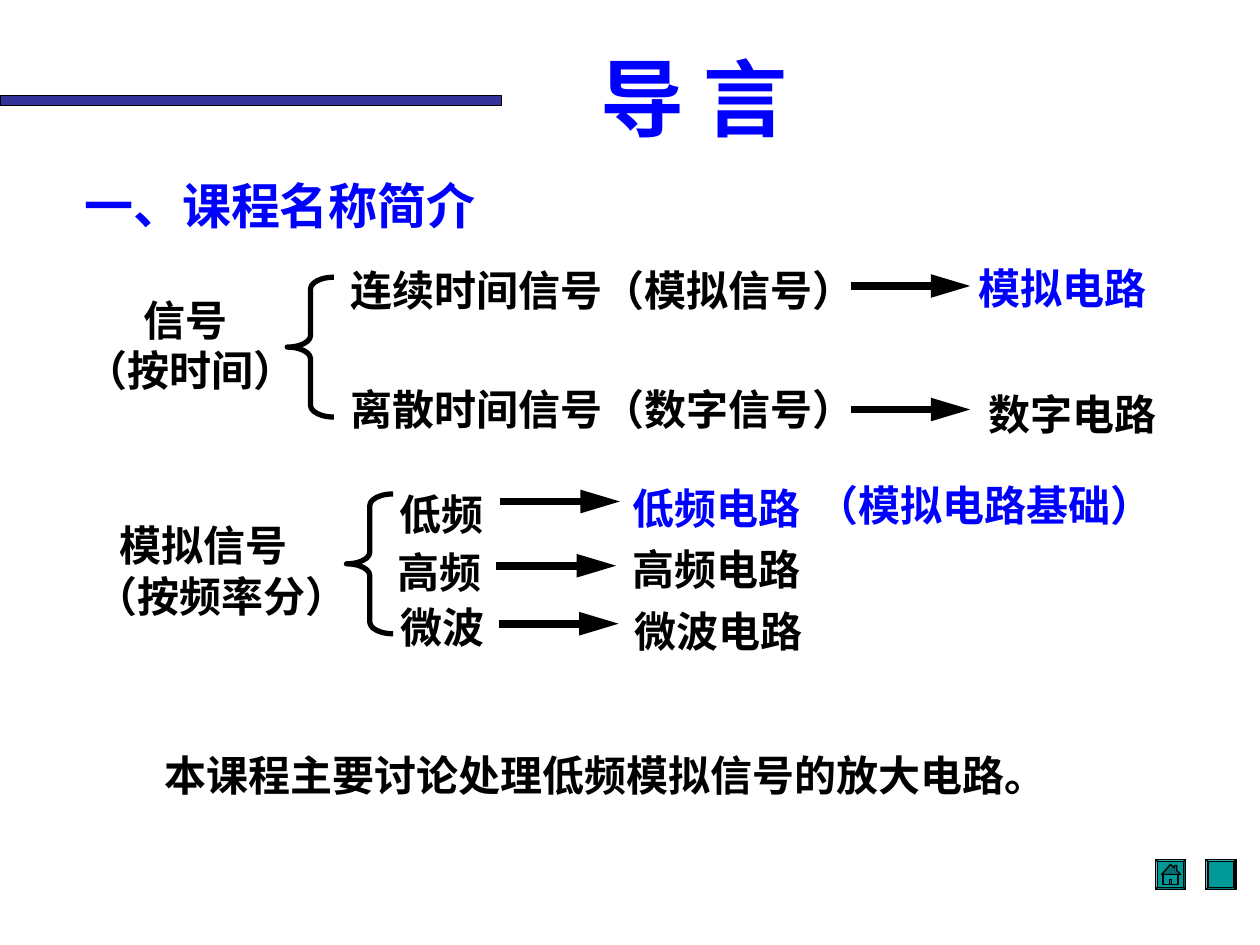
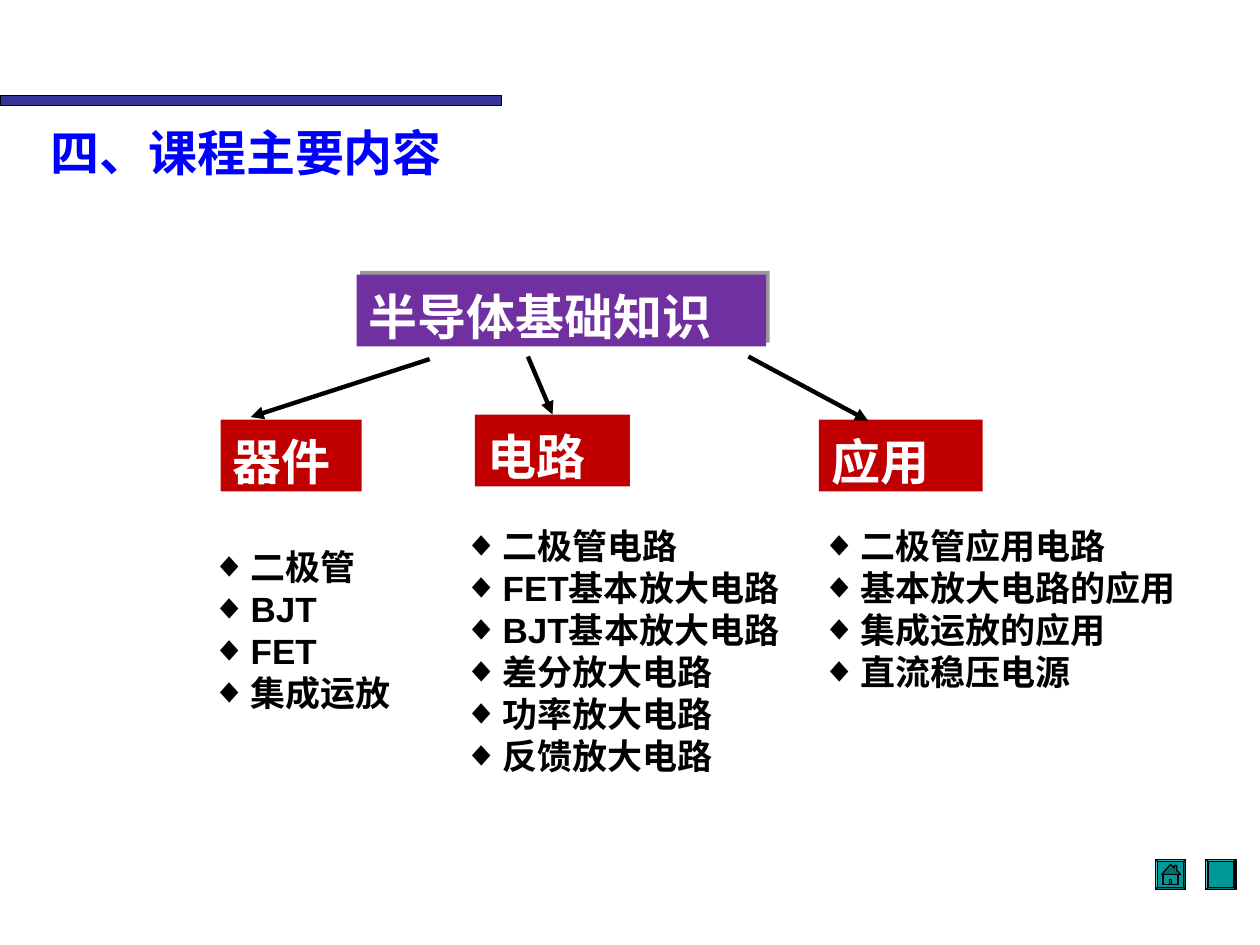
from lxml import etree
from pptx import Presentation
from pptx.dml.color import RGBColor
from pptx.enum.shapes import MSO_CONNECTOR, MSO_SHAPE
from pptx.enum.text import MSO_ANCHOR, MSO_AUTO_SIZE, PP_ALIGN
from pptx.oxml.ns import qn
from pptx.util import Inches, Pt

COLUMNS, ROWS = 100, 75
CELL = Inches(0.1)
BLACK = RGBColor(0x00, 0x00, 0x00)
WHITE = RGBColor(0xFF, 0xFF, 0xFF)
BLUE = RGBColor(0x00, 0x00, 0xFF)
NAVY = RGBColor(0x33, 0x33, 0x99)
TEAL = RGBColor(0x00, 0x99, 0x99)
DARK_TEAL = RGBColor(0x00, 0x70, 0x70)
PURPLE = RGBColor(0x70, 0x30, 0xA0)
RED = RGBColor(0xC0, 0x00, 0x00)
LATIN, SERIF, CHINESE = "Arial", "Times New Roman", "Noto Sans CJK SC"
LINE_HEIGHT = 1.2
TOP_SHIFT = 0.11  # share of the text size that fixed line spacing takes off the top
HANGING = 3.1


def grid(cells):
    return round(cells * CELL)


def place(shape, left, top, width, height):
    shape.left, shape.top = grid(left), grid(top)
    shape.width, shape.height = grid(width), grid(height)


def child(parent, tag, **attributes):
    return etree.SubElement(parent, qn(tag), attributes)


def write(shape, text, size=24, color=BLACK, font=LATIN, align=PP_ALIGN.LEFT,
          anchor=MSO_ANCHOR.TOP, indents=(), bullet=None):
    """Fill a shape with one paragraph for each line of text."""
    frame = shape.text_frame
    frame.word_wrap = True
    frame.auto_size = MSO_AUTO_SIZE.NONE
    frame.vertical_anchor = anchor
    frame.margin_left = frame.margin_right = Inches(0.1)
    frame.margin_top = Inches(0.05) + Pt(size * TOP_SHIFT)
    frame.margin_bottom = Inches(0.05)
    for number, line in enumerate(text.split("\n")):
        paragraph = frame.paragraphs[0] if number == 0 else frame.add_paragraph()
        paragraph.alignment = align
        paragraph.line_spacing = Pt(size * LINE_HEIGHT)
        paragraph.space_before = paragraph.space_after = Pt(0)
        properties = paragraph._p.get_or_add_pPr()
        margin = HANGING if bullet else dict(enumerate(indents)).get(number, 0)
        properties.set("marL", str(grid(margin)))
        properties.set("indent", str(grid(-HANGING if bullet else 0)))
        if bullet:
            child(properties, "a:buFont", typeface=LATIN)
            child(properties, "a:buChar", char=bullet)
        else:
            child(properties, "a:buNone")
        run = paragraph.add_run()
        run.text = line
        run.font.size, run.font.bold, run.font.name = Pt(size), True, font
        run.font.color.rgb = color
        child(run._r.get_or_add_rPr(), "a:ea", typeface=CHINESE)


def add_label(slide, text, left, top, width, height=5, **style):
    label = slide.shapes.add_textbox(0, 0, 0, 0)
    place(label, left, top, width, height)
    write(label, text, **style)


def set_title(slide, text, box, **style):
    place(slide.shapes.title, *box)
    write(slide.shapes.title, text, color=BLUE, **style)


def paint(shape, fill=None, line=None, width=0.75):
    shape.shadow.inherit = False
    if fill is None:
        shape.fill.background()
    else:
        shape.fill.solid()
        shape.fill.fore_color.rgb = fill
    if line is None:
        shape.line.fill.background()
    else:
        shape.line.color.rgb = line
        shape.line.width = Pt(width)


def add_preset(slide, preset, box, **style):
    shape = slide.shapes.add_shape(preset, *map(grid, box))
    paint(shape, **style)
    return shape


def add_arrow(slide, start, end, width, head_length="med"):
    arrow = slide.shapes.add_connector(
        MSO_CONNECTOR.STRAIGHT, *map(grid, (*start, *end)))
    arrow.line.color.rgb = BLACK
    arrow.line.width = Pt(width)
    child(arrow.line._get_or_add_ln(), "a:tailEnd",
          type="triangle", w="med", len=head_length)
    child(arrow._element.spPr, "a:effectLst")
    return arrow


def add_brace(slide, left, top):
    brace = add_preset(slide, MSO_SHAPE.LEFT_BRACE, (left, top, 3.7, 11.1),
                       line=BLACK, width=3)
    brace.adjustments[0] = 0.25


def add_outline(slide, points, fill):
    (first, *rest) = [(grid(x), grid(y)) for x, y in points]
    builder = slide.shapes.build_freeform(*first)
    builder.add_line_segments(rest, close=True)
    paint(builder.convert_to_shape(), fill=fill, line=BLACK)


def add_frame(slide):
    """Draw the band at the top and the two buttons at the bottom."""
    add_preset(slide, MSO_SHAPE.RECTANGLE, (0, 7.6, 39.8, 0.8), fill=NAVY, line=BLACK)
    for left in (91.7, 95.7):
        button = add_preset(slide, MSO_SHAPE.BEVEL, (left, 68.2, 2.4, 2.4),
                            fill=TEAL, line=BLACK)
        button.adjustments[0] = 0.07
    roof = [(92.9, 68.6), (93.2, 68.9), (93.2, 68.7), (93.4, 68.7),
            (93.4, 69.1), (93.7, 69.4), (92.2, 69.4)]
    walls = [(92.3, 69.4), (93.5, 69.4), (93.5, 70.2), (92.3, 70.2)]
    door = [(92.8, 69.8), (93, 69.8), (93, 70.2), (92.8, 70.2)]
    for outline, fill in ((roof, DARK_TEAL), (walls, TEAL), (door, DARK_TEAL)):
        add_outline(slide, outline, fill)


def add_box(slide, text, box, fill):
    shape = add_preset(slide, MSO_SHAPE.RECTANGLE, box, fill=fill)
    write(shape, text, size=28, color=WHITE)
    return shape


def add_hard_shadow(shape):
    effects = shape._element.spPr.find(qn("a:effectLst"))
    shadow = child(effects, "a:outerShdw", blurRad="0", dist=str(Pt(3)),
                   dir=str(315 * 60000), algn="bl", rotWithShape="0")
    color = child(shadow, "a:srgbClr", val=str(BLACK))
    child(color, "a:alpha", val="40000")


def build_introduction(deck):
    slide = deck.slides.add_slide(deck.slide_layouts[5])
    add_frame(slide)
    set_title(slide, "导 言", (31.7, 4.2, 46.8, 6.2), size=48, font=CHINESE,
              align=PP_ALIGN.CENTER, anchor=MSO_ANCHOR.MIDDLE)
    add_label(slide, "一、课程名称简介", 5.7, 13, 40.1, 5.7,
              size=28, color=BLUE, font=SERIF)

    add_label(slide, "信号\n（按时间）", 5.8, 22.5, 20.2, 9, indents=(4.6,))
    add_brace(slide, 22.8, 22)
    by_time = [
        ("连续时间信号（模拟信号）", 20.1, 22.7, "模拟电路", 76.7, 20, BLUE),
        ("离散时间信号（数字信号）", 29.6, 32.5, "数字电路", 77.5, 30, BLACK),
    ]
    for signal, top, arrow_top, circuit, left, circuit_top, color in by_time:
        add_label(slide, signal, 26.8, top, 42.5)
        add_arrow(slide, (67.5, arrow_top), (77, arrow_top), 4.5, "lg")
        add_label(slide, circuit, left, circuit_top, 16.7, color=color)

    add_label(slide, "模拟信号\n（按频率分）", 6.6, 40.4, 24.8, 9, indents=(1.9,))
    add_brace(slide, 27.5, 39.2)
    by_frequency = [
        ("低频", 30.7, 37.9, 39.7, 39.8, 49.2, BLUE),
        ("高频", 30.6, 42.5, 39.4, 44.9, 49.2, BLACK),
        ("微波", 30.8, 46.9, 39.6, 49.5, 49.4, BLACK),
    ]
    for row, (band, left, top, tail, arrow_top, circuit_left, color) in enumerate(by_frequency):
        add_label(slide, band, left, top, 11)
        add_arrow(slide, (tail, arrow_top), (tail + 9.5, arrow_top), 4.5, "lg")
        add_label(slide, band + "电路", circuit_left, 37.4 + 4.9 * row, 17, color=color)
    add_label(slide, "（模拟电路基础）", 63.8, 37.2, 33.3, color=BLUE)

    add_label(slide, "本课程主要讨论处理低频模拟信号的放大电路。", 12.1, 58.6, 78.9)


def build_contents(deck):
    slide = deck.slides.add_slide(deck.slide_layouts[4])
    add_frame(slide)
    set_title(slide, "四、课程主要内容", (3, 8.8, 44.5, 5.7), size=28, font=SERIF)
    add_hard_shadow(add_box(slide, "半导体基础知识", (28.3, 21.8, 32.5, 5.7), PURPLE))

    branches = [
        ("器件", (17.5, 33.3, 11.2, 5.7), (34.1, 28.5), (19.9, 33.1),
         (15.8, 42.5, 19, 14.4), "二极管\nBJT\nFET\n集成运放"),
        ("电路", (37.7, 32.9, 12.3, 5.7), (41.9, 28.3), None,
         (35.8, 40.8, 28.3, 27),
         "二极管电路\nFET基本放大电路\nBJT基本放大电路\n"
         "差分放大电路\n功率放大电路\n反馈放大电路"),
        ("应用", (65, 33.3, 13, 5.7), (59.4, 28.3), (68.9, 33.4),
         (64.2, 40.8, 31.7, 14.4),
         "二极管应用电路\n基本放大电路的应用\n集成运放的应用\n直流稳压电源"),
    ]
    _, *topic_lists, spare = slide.placeholders
    for topic_list, branch in zip(topic_lists, branches):
        name, box, start, end, list_box, topics = branch
        heading = add_box(slide, name, box, RED)
        arrow = add_arrow(slide, start, end or box[:2], 2.5)
        if end is None:
            arrow.end_connect(heading, 0)
        place(topic_list, *list_box)
        write(topic_list, topics, size=20, bullet="◆")
    spare._element.getparent().remove(spare._element)


def main():
    deck = Presentation()
    deck.slide_width, deck.slide_height = grid(COLUMNS), grid(ROWS)
    build_introduction(deck)
    build_contents(deck)
    deck.save("out.pptx")


if __name__ == "__main__":
    main()
